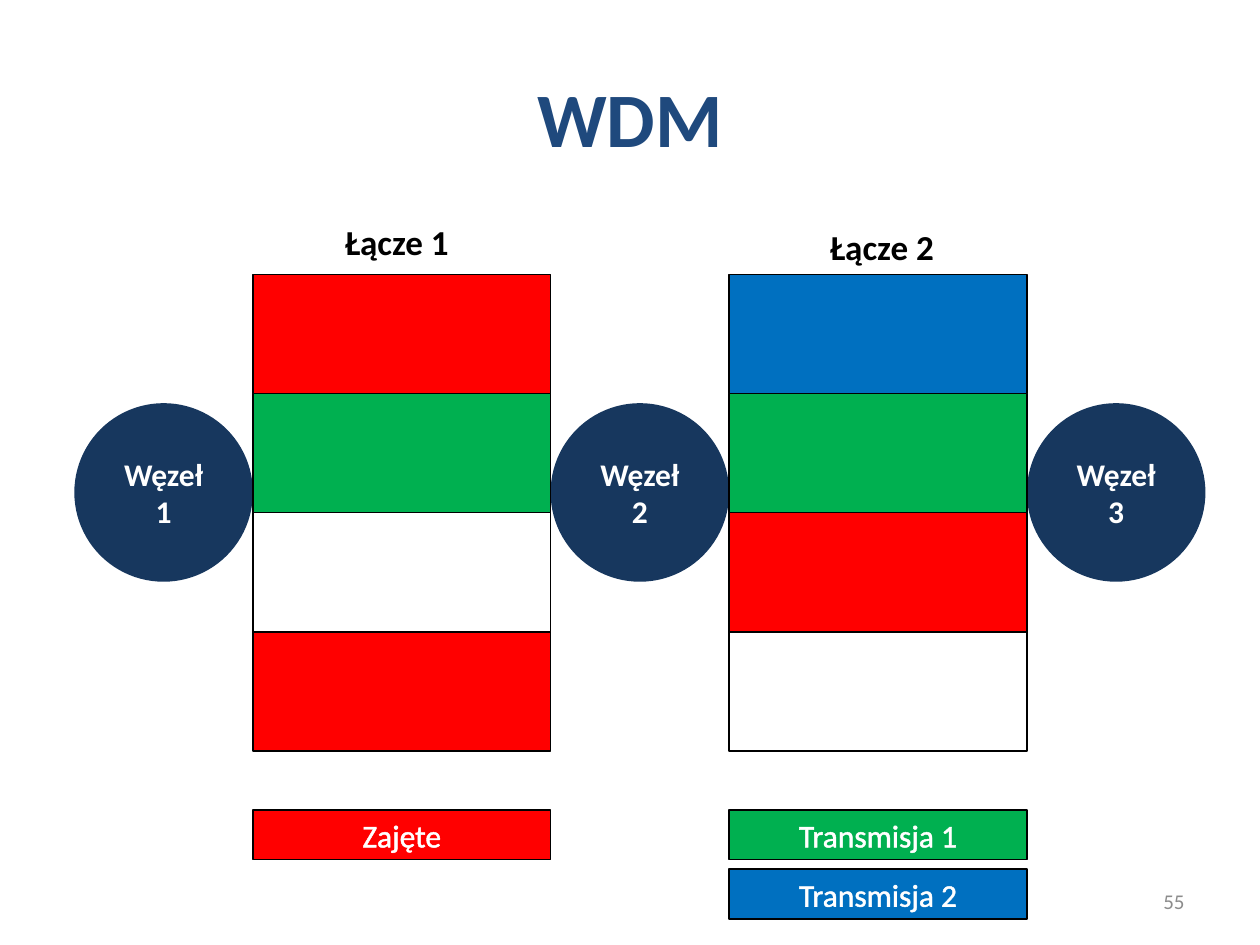
from lxml import etree
from pptx import Presentation
from pptx.dml.color import RGBColor
from pptx.enum.shapes import MSO_SHAPE
from pptx.enum.text import MSO_ANCHOR, PP_ALIGN
from pptx.oxml.ns import qn
from pptx.util import Pt

RECTANGLE, OVAL = MSO_SHAPE.RECTANGLE, MSO_SHAPE.OVAL
TOP, MIDDLE = MSO_ANCHOR.TOP, MSO_ANCHOR.MIDDLE
LEFT, CENTER, RIGHT = PP_ALIGN.LEFT, PP_ALIGN.CENTER, PP_ALIGN.RIGHT

WHITE = RGBColor(0xFF, 0xFF, 0xFF)
BLACK = RGBColor(0x00, 0x00, 0x00)
RED = RGBColor(0xFF, 0x00, 0x00)
GREEN = RGBColor(0x00, 0xB0, 0x50)
BLUE = RGBColor(0x00, 0x70, 0xC0)
NAVY = RGBColor(0x17, 0x37, 0x5E)
TITLE_BLUE = RGBColor(0x1F, 0x49, 0x7D)
GREY = RGBColor(0x8C, 0x8C, 0x8C)

NODE_SIZE, NODE_LEFT, NODE_TOP = 102.05, 42.5, 230.4
LINK_WIDTH, LINK_TOP, BAND_HEIGHT = 170.1, 156.8, 68.05
PITCH = NODE_SIZE + LINK_WIDTH
LINK_LEFT = NODE_LEFT + NODE_SIZE
LEGEND_TOP, LEGEND_HEIGHT, LEGEND_PITCH = 462.9, 28.35, 33.9

LINKS = [[RED, GREEN, WHITE, RED], [BLUE, GREEN, RED, WHITE]]
LEGENDS = [[("Zajęte", RED)], [("Transmisja 1", GREEN), ("Transmisja 2", BLUE)]]
LINK_NAMES = [("Łącze 1", 190.1, 122.4), ("Łącze 2", 467.3, 125.3)]


def write(frame, text, color, size=18, bold=False, align=CENTER, anchor=MIDDLE):
    """Put one formatted paragraph in a text frame and return its run."""
    frame.vertical_anchor = anchor
    paragraph = frame.paragraphs[0]
    paragraph.alignment = align
    run = paragraph.add_run()
    run.text = text
    for name, value in {"name": "Calibri", "size": Pt(size), "bold": bold}.items():
        setattr(run.font, name, value)
    run.font.color.rgb = color
    return run


def add_label(slide, box, text, color, wrap=True, **style):
    """Add a text box holding one line of text."""
    frame = slide.shapes.add_textbox(*map(Pt, box)).text_frame
    frame.word_wrap = wrap
    write(frame, text, color, **style)


def add_figure(slide, kind, box, fill, outlined=True):
    """Add a filled shape, with a thin black outline if wanted."""
    figure = slide.shapes.add_shape(kind, *map(Pt, box))
    figure.shadow.inherit = False
    figure.fill.solid()
    figure.fill.fore_color.rgb = fill
    if outlined:
        figure.line.color.rgb = BLACK
        figure.line.width = Pt(1)
    else:
        figure.line.fill.background()
    return figure


def add_node(slide, index):
    """Add one round network node."""
    box = (NODE_LEFT + index * PITCH, NODE_TOP, NODE_SIZE, NODE_SIZE)
    node = add_figure(slide, OVAL, box, NAVY, outlined=False)
    write(node.text_frame, f"Węzeł {index + 1}", WHITE, bold=True)


def add_link(slide, index, bands):
    """Add the stacked wavelength bands of one link."""
    for row, color in enumerate(bands):
        box = (LINK_LEFT + index * PITCH, LINK_TOP + row * BAND_HEIGHT, LINK_WIDTH, BAND_HEIGHT)
        add_figure(slide, RECTANGLE, box, color)


def add_legend(slide, index, entries):
    """Add the legend bars under one link, with outlined lettering."""
    for row, (text, color) in enumerate(entries):
        box = (LINK_LEFT + index * PITCH, LEGEND_TOP + row * LEGEND_PITCH, LINK_WIDTH, LEGEND_HEIGHT)
        bar = add_figure(slide, RECTANGLE, box, color)
        run = write(bar.text_frame, text, WHITE)
        outline = etree.Element(qn("a:ln"), w=str(Pt(0.75)))
        fill = etree.SubElement(outline, qn("a:solidFill"))
        etree.SubElement(fill, qn("a:srgbClr"), val=str(WHITE))
        run.font._element.insert(0, outline)


def main():
    """Build the WDM slide and save it."""
    deck = Presentation()
    deck.slide_width, deck.slide_height = Pt(720), Pt(540)
    slide = deck.slides.add_slide(deck.slide_layouts[6])
    add_label(slide, (36, 21.6, 648, 90), "WDM", TITLE_BLUE, size=44, bold=True)
    for text, left, top in LINK_NAMES:
        add_label(slide, (left, top, 74.2, 31.5), text, BLACK, wrap=False,
                  size=20, bold=True, align=LEFT, anchor=TOP)
    for index in range(len(LINKS) + 1):
        add_node(slide, index)
    for index, (bands, entries) in enumerate(zip(LINKS, LEGENDS)):
        add_link(slide, index, bands)
        add_legend(slide, index, entries)
    add_label(slide, (516, 500.5, 168, 28.75), "55", GREY, size=12, align=RIGHT)
    deck.save("out.pptx")


if __name__ == "__main__":
    main()
